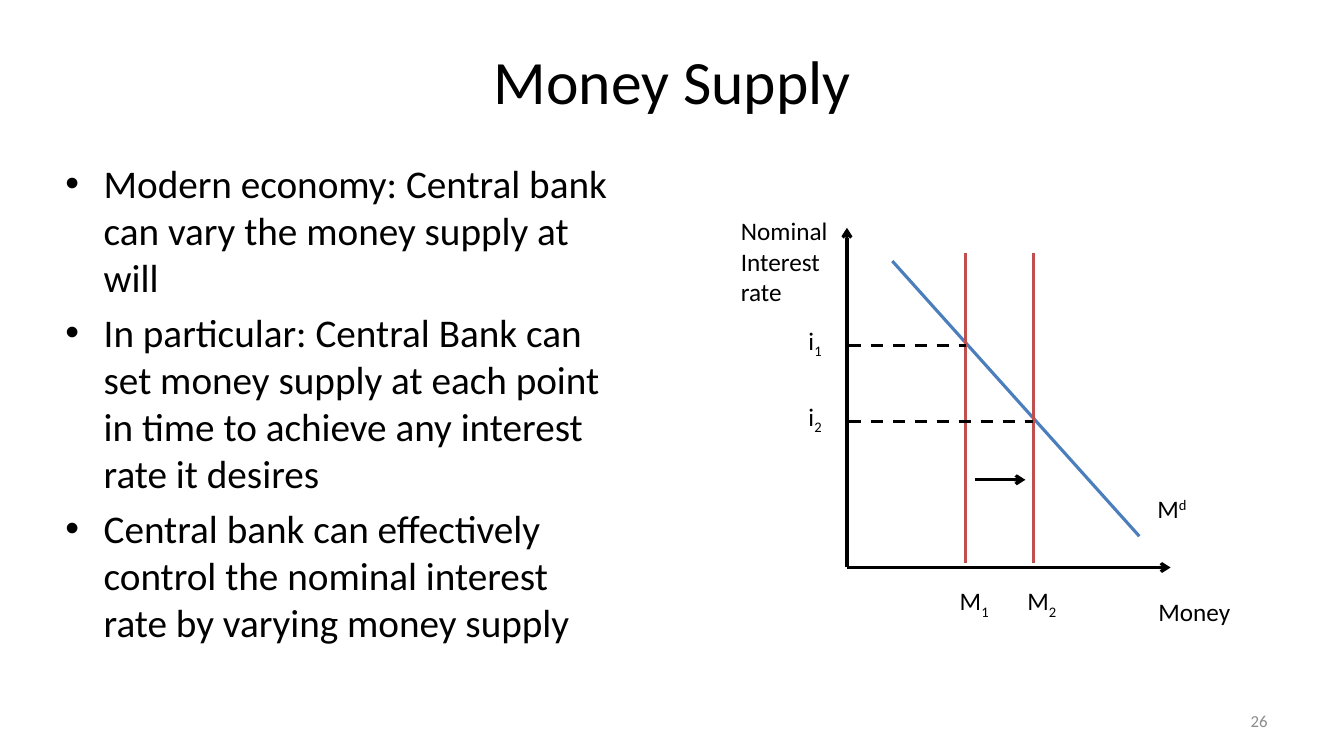
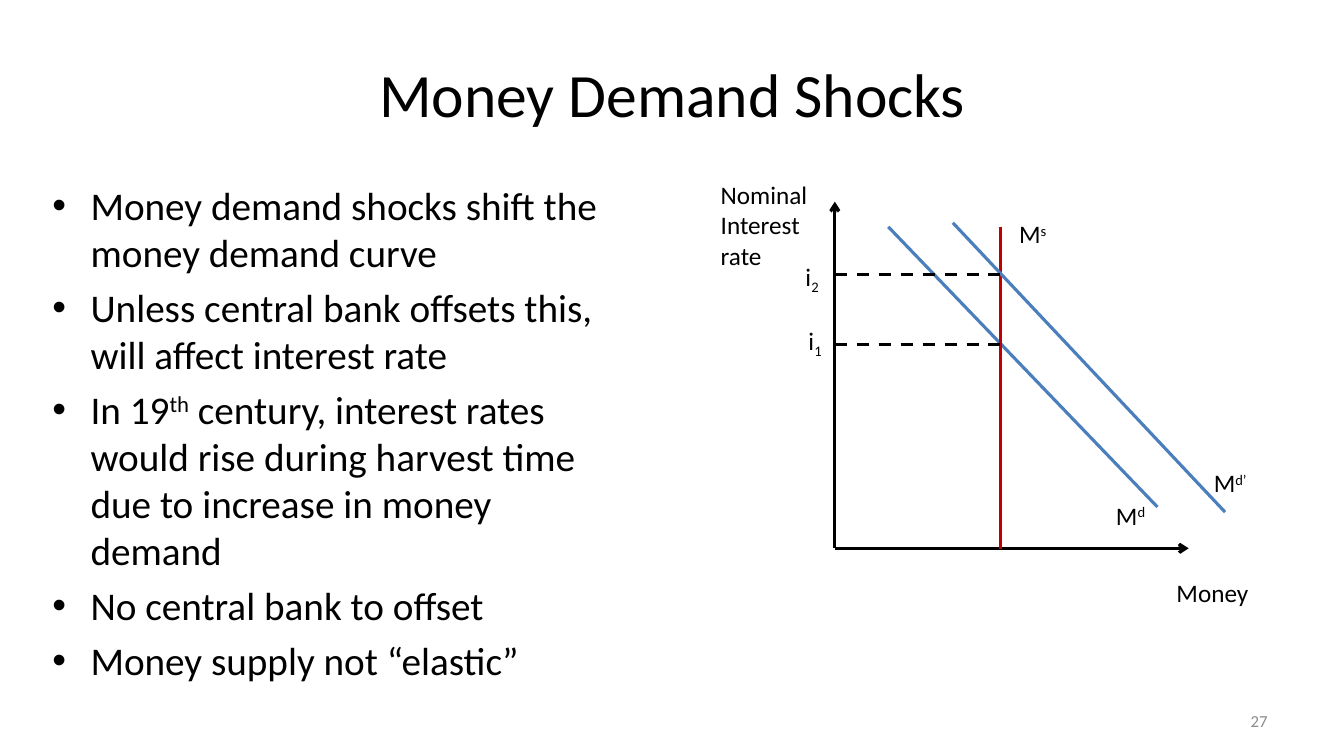
from pptx import Presentation
from pptx import util as u
from pptx.dml.color import RGBColor
from pptx.enum import dml, shapes, text
from pptx.oxml import ns, xmlchemy

BLACK = RGBColor(0x00, 0x00, 0x00)
GREY = RGBColor(0x8C, 0x8C, 0x8C)
BLUE = RGBColor(0x4B, 0x7E, 0xBC)
BRICK = RGBColor(0xC0, 0x50, 0x4D)
RED = RGBColor(0xC0, 0x00, 0x00)


def px(length):
    return u.Emu(length * 9144)


def sup(letters):
    return letters, 30000


def sub(letters):
    return letters, -25000


class Deck:
    FONT = "Calibri"
    INDENT = 38

    def __init__(self):
        self.prs = Presentation()
        self.prs.slide_width = px(1333)
        self.prs.slide_height = px(750)
        self.slide = None

    def add_slide(self, number):
        self.slide = self.prs.slides.add_slide(self.prs.slide_layouts[6])
        frame = self.frame(956, 695, 311, 40, text.MSO_ANCHOR.MIDDLE)
        self.set_text(frame.paragraphs[0], [str(number)], 12, GREY, text.PP_ALIGN.RIGHT)

    def frame(self, left, top, width, height, anchor=text.MSO_ANCHOR.TOP, wrap=True):
        box = self.slide.shapes.add_textbox(px(left), px(top), px(width), px(height))
        frame = box.text_frame
        frame.word_wrap = wrap
        frame.vertical_anchor = anchor
        return frame

    def set_text(self, paragraph, pieces, size, color=BLACK, align=text.PP_ALIGN.LEFT):
        paragraph.alignment = align
        paragraph.font.name = self.FONT
        paragraph.font.size = u.Pt(size)
        paragraph.font.color.rgb = color
        for piece in pieces:
            words, baseline = (piece, 0) if isinstance(piece, str) else piece
            run = paragraph.add_run()
            run.text = words
            if baseline:
                run._r.get_or_add_rPr().set("baseline", str(baseline))

    def title(self, words, left, top, width):
        frame = self.frame(left, top, width, 125, text.MSO_ANCHOR.MIDDLE)
        self.set_text(frame.paragraphs[0], [words], 44, align=text.PP_ALIGN.CENTER)

    def bullets(self, left, top, width, height, points):
        frame = self.frame(left, top, width, height)
        for index, point in enumerate(points):
            paragraph = frame.add_paragraph() if index else frame.paragraphs[0]
            props = paragraph._p.get_or_add_pPr()
            props.set("marL", str(px(self.INDENT)))
            props.set("indent", str(px(-self.INDENT)))
            paragraph.space_before = u.Pt(5.6 if index else 0)
            for tag, key, value in (("a:buFont", "typeface", "Arial"), ("a:buChar", "char", "•")):
                mark = xmlchemy.OxmlElement(tag)
                mark.set(key, value)
                props.append(mark)
            self.set_text(paragraph, point, 28)

    def label(self, left, top, width, *pieces, height=40, wrap=False):
        frame = self.frame(left, top, width, height, wrap=wrap)
        self.set_text(frame.paragraphs[0], pieces, 18)

    def line(self, start, end, color=BLACK, dashed=False, arrow=False):
        connector = self.slide.shapes.add_connector(
            shapes.MSO_CONNECTOR.STRAIGHT, *map(px, start + end))
        connector.line.color.rgb = color
        connector.line.width = u.Pt(2.25)
        if dashed:
            connector.line.dash_style = dml.MSO_LINE.DASH
        props = connector._element.spPr
        if arrow:
            head = xmlchemy.OxmlElement("a:tailEnd")
            head.set("type", "arrow")
            props.find(ns.qn("a:ln")).append(head)
        props.append(xmlchemy.OxmlElement("a:effectLst"))

    def axes(self, origin, top, right, rate_label):
        x, y = origin
        self.line(origin, (x, top), arrow=True)
        self.line(origin, (right, y), arrow=True)
        self.label(right - 22, y + 24, 92, "Money")
        self.label(*rate_label, 110, "Nominal Interest rate", height=101, wrap=True)


def money_supply(deck):
    deck.add_slide(26)
    deck.title("Money Supply", 217, 17, 900)
    deck.bullets(55, 153, 561, 558, [
        ["Modern economy: Central bank can vary the money supply at will"],
        ["In particular: Central Bank can set money supply at each point in time "
         "to achieve any interest rate it desires"],
        ["Central bank can effectively control the nominal interest rate by "
         "varying money supply"],
    ])
    deck.axes((840, 563), 226, 1161, (725, 209))
    deck.line((885, 259), (1130, 532), BLUE)
    deck.label(1138, 484, 49, "M", sup("d"))
    for period, supply, rate in (("1", 958, 343), ("2", 1025, 418)):
        deck.line((supply, 251), (supply, 559), BRICK)
        deck.line((842, rate), (supply, rate), dashed=True)
        deck.label(supply - 16, 576, 51, "M", sub(period))
        deck.label(792, rate - 25, 35, "i", sub(period))
    deck.line((967, 476), (1017, 476), arrow=True)


def money_demand_shocks(deck):
    deck.add_slide(27)
    deck.title("Money Demand Shocks", 67, 30, 1200)
    deck.bullets(42, 175, 589, 545, [
        ["Money demand shocks shift the money demand curve"],
        ["Unless central bank offsets this, will affect interest rate"],
        ["In 19", sup("th"), " century, interest rates would rise during harvest time "
         "due to increase in money demand"],
        ["No central bank to offset"],
        ["Money supply not “elastic”"],
    ])
    deck.axes((828, 544), 200, 1179, (705, 173))
    deck.line((881, 225), (1148, 503), BLUE)
    deck.label(1097, 491, 49, "M", sup("d"))
    deck.line((992, 225), (992, 545), RED)
    deck.label(1001, 212, 48, "M", sup("s"))
    deck.line((945, 221), (1215, 508), BLUE)
    deck.label(1194, 459, 53, "M", sup("d’"))
    for period, rate, left, top in (("1", 342, 792, 318), ("2", 272, 789, 254)):
        deck.line((828, rate), (992, rate), dashed=True)
        deck.label(left, top, 35, "i", sub(period))


def main():
    deck = Deck()
    money_supply(deck)
    money_demand_shocks(deck)
    deck.prs.save("out.pptx")


if __name__ == "__main__":
    main()
